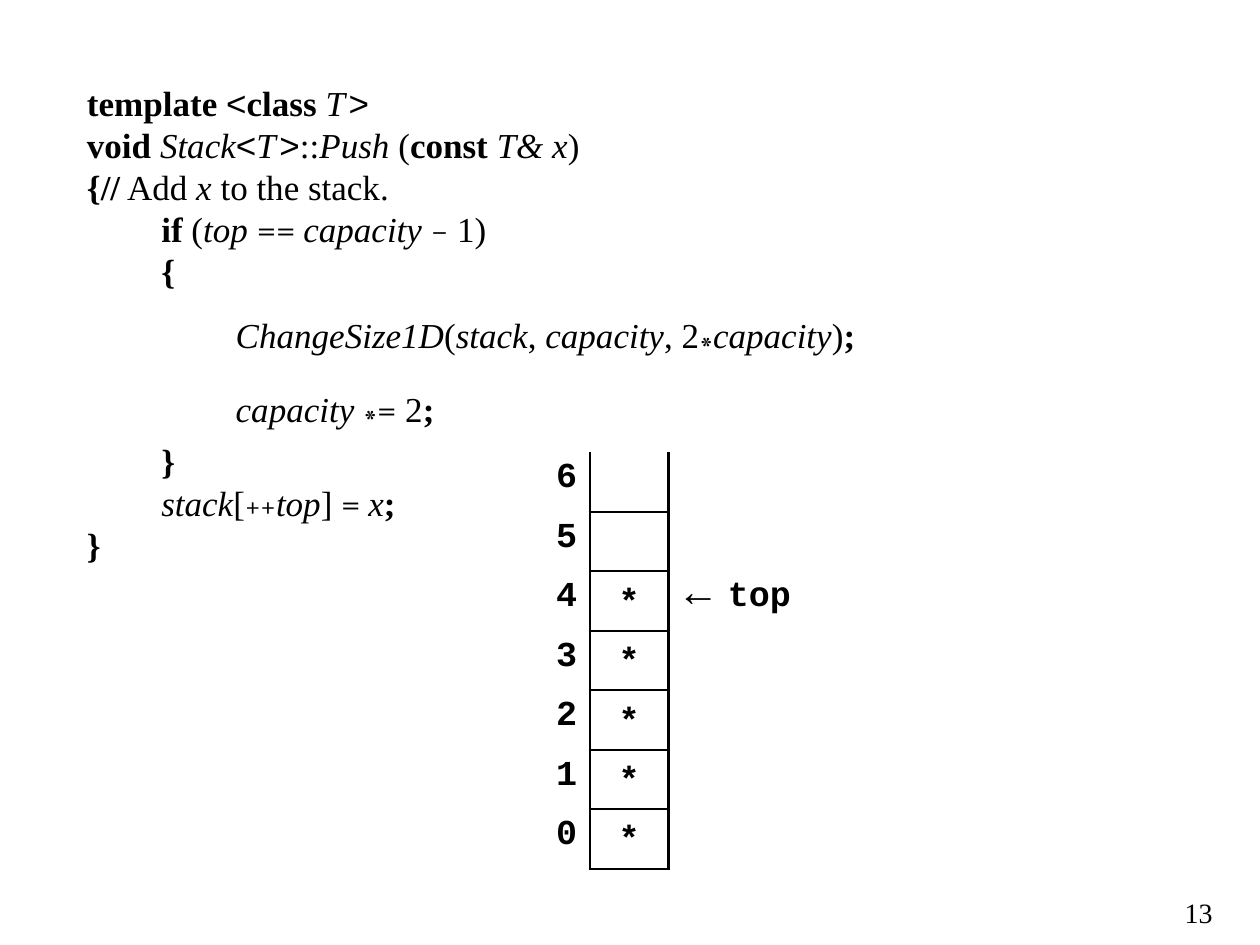
"""Build the slide showing the stack Push method and the array that holds the stack."""
from lxml.etree import SubElement
from pptx import Presentation
from pptx.dml.color import RGBColor
from pptx.enum.text import MSO_ANCHOR, MSO_AUTO_SIZE, PP_ALIGN
from pptx.oxml.ns import qn
from pptx.util import Pt

COLORS = {"ink": "000000"}
SERIF, SANS, MATH, MONO = "Times New Roman", "Arial", "Cambria", "Courier New"

STYLES = {
    "plain": (SERIF, 20, False, False, {}),
    "bold": (SERIF, 20, True, False, {}),
    "italic": (SERIF, 20, False, True, {}),
    "type": (SERIF, 20, False, True, {"spc": "200"}),
    "angle": (SANS, 20, False, False, {}),
    "math": (MATH, 20, False, False, {}),
    "minus": (MATH, 18, False, False, {}),
    "plus": (MATH, 16, False, False, {}),
    "times": (MATH, 32, False, False, {"baseline": "-18000"}),
}

CODE = [
    (0, 0, [("template ", "bold"), ("<", "angle"), ("class ", "bold"), ("T", "type"), (">", "angle")]),
    (0, 0, [("void ", "bold"), ("Stack", "italic"), ("<", "angle"), ("T", "type"), (">", "angle"),
            ("::", "plain"), ("Push ", "italic"), ("(", "plain"), ("const ", "bold"),
            ("T& x", "italic"), (")", "plain")]),
    (0, 0, [("{//", "bold"), (" Add ", "plain"), ("x", "italic"), (" to the stack.", "plain")]),
    (1, 0, [("if", "bold"), (" (", "plain"), ("top ", "italic"), ("== ", "math"),
            ("capacity ", "italic"), ("−", "minus"), (" 1)", "plain")]),
    (1, 0, [("{", "bold")]),
    (2, 18, [("ChangeSize1D", "italic"), ("(", "plain"), ("stack", "italic"), (", ", "plain"),
             ("capacity", "italic"), (", 2", "plain"), ("*", "times"), ("capacity", "italic"),
             (")", "plain"), (";", "bold")]),
    (2, 18, [("capacity ", "italic"), ("*", "times"), ("=", "math"), (" 2", "plain"), (";", "bold")]),
    (1, 0, [("}", "bold")]),
    (1, 0, [("stack", "italic"), ("[", "plain"), ("++", "plus"), ("top", "italic"), ("] ", "plain"),
            ("= ", "math"), ("x", "italic"), (";", "bold")]),
    (0, 0, [("}", "bold")]),
]
INDENT, LINE_PITCH = 42.5, 24

CAPACITY, TOP = 7, 4
COLUMN_WIDTHS = [34, 45, 34, 45]
ROW_HEIGHT = 34
INDEX, ITEM, ARROW, LABEL = range(4)
ALIGNMENTS = [PP_ALIGN.RIGHT, PP_ALIGN.CENTER, PP_ALIGN.CENTER, PP_ALIGN.LEFT]
SIZES = [20, 20, 24, 20]
MARGINS = [(7.2, 3.6, 7.2, 3.6), (7.2, 7.2, 7.2, 0), (7.2, 0, 7.2, 2.9), (0, 3.6, 7.2, 3.6)]
PAGE_NUMBER = "13"


def set_font(font, name, size, bold=False, italic=False):
    font.name, font.size, font.bold, font.italic = name, Pt(size), bold, italic
    font.color.rgb = RGBColor.from_string(COLORS["ink"])


def place(shape, left, top, width, height):
    shape.left, shape.top, shape.width, shape.height = Pt(left), Pt(top), Pt(width), Pt(height)


def add_code(slide):
    body = slide.placeholders[1]
    place(body, 42.5, 43.2, 465, 250)
    frame = body.text_frame
    frame.word_wrap = True
    frame.auto_size = MSO_AUTO_SIZE.NONE
    frame.vertical_anchor = MSO_ANCHOR.TOP
    for number, (level, gap, pieces) in enumerate(CODE):
        paragraph = frame.add_paragraph() if number else frame.paragraphs[0]
        paragraph.line_spacing = Pt(LINE_PITCH)
        paragraph.space_before, paragraph.space_after = Pt(gap), Pt(0)
        properties = paragraph._p.get_or_add_pPr()
        properties.set("marL", str(Pt(level * INDENT)))
        properties.set("indent", "0")
        SubElement(properties, qn("a:buNone"))
        for text, style in pieces:
            run = paragraph.add_run()
            run.text = text
            name, size, bold, italic, extras = STYLES[style]
            set_font(run.font, name, size, bold, italic)
            for key, value in extras.items():
                run._r.get_or_add_rPr().set(key, value)


def set_borders(cell, visible):
    properties = cell._tc.get_or_add_tcPr()
    for side in "LRTB":
        line = SubElement(properties, qn(f"a:ln{side}"), w=str(Pt(1.5)))
        if side in visible:
            fill = SubElement(line, qn("a:solidFill"))
            SubElement(fill, qn("a:srgbClr"), val=COLORS["ink"])
        else:
            SubElement(line, qn("a:noFill"))


def cell_text(index, column):
    if column == INDEX:
        return str(index)
    if column == ITEM:
        return "*" if index <= TOP else ""
    return {ARROW: "←", LABEL: "top"}[column] if index == TOP else ""


def cell_borders(index, column):
    item_sides = "LRB" if index == CAPACITY - 1 else "LRTB"
    return {INDEX: "R", ITEM: item_sides, ARROW: "L", LABEL: ""}[column]


def add_stack(slide):
    frame = slide.shapes.add_table(CAPACITY, len(COLUMN_WIDTHS), Pt(303), Pt(258.5),
                                   Pt(sum(COLUMN_WIDTHS)), Pt(CAPACITY * ROW_HEIGHT))
    table = frame.table
    table.first_row = table.horz_banding = False
    for column, width in zip(table.columns, COLUMN_WIDTHS):
        column.width = Pt(width)
    for row in range(CAPACITY):
        table.rows[row].height = Pt(ROW_HEIGHT)
        index = CAPACITY - 1 - row
        for column in range(len(COLUMN_WIDTHS)):
            cell = table.cell(row, column)
            left, top, right, bottom = MARGINS[column]
            cell.margin_left, cell.margin_top = Pt(left), Pt(top)
            cell.margin_right, cell.margin_bottom = Pt(right), Pt(bottom)
            cell.text = cell_text(index, column)
            paragraph = cell.text_frame.paragraphs[0]
            paragraph.alignment = ALIGNMENTS[column]
            set_font(paragraph.font, MONO, SIZES[column], bold=True)
            set_borders(cell, cell_borders(index, column))
            cell.fill.background()


def add_page_number(slide):
    box = slide.shapes.add_textbox(Pt(666), Pt(508.3), Pt(34), Pt(23))
    box.text_frame.word_wrap = True
    paragraph = box.text_frame.paragraphs[0]
    paragraph.text = PAGE_NUMBER
    paragraph.alignment = PP_ALIGN.RIGHT
    set_font(paragraph.font, SERIF, 16)


def main():
    presentation = Presentation()
    presentation.slide_width, presentation.slide_height = Pt(720), Pt(540)
    slide = presentation.slides.add_slide(presentation.slide_layouts[1])
    title = slide.shapes.title.element
    title.getparent().remove(title)
    add_code(slide)
    add_page_number(slide)
    add_stack(slide)
    presentation.save("out.pptx")


if __name__ == "__main__":
    main()
